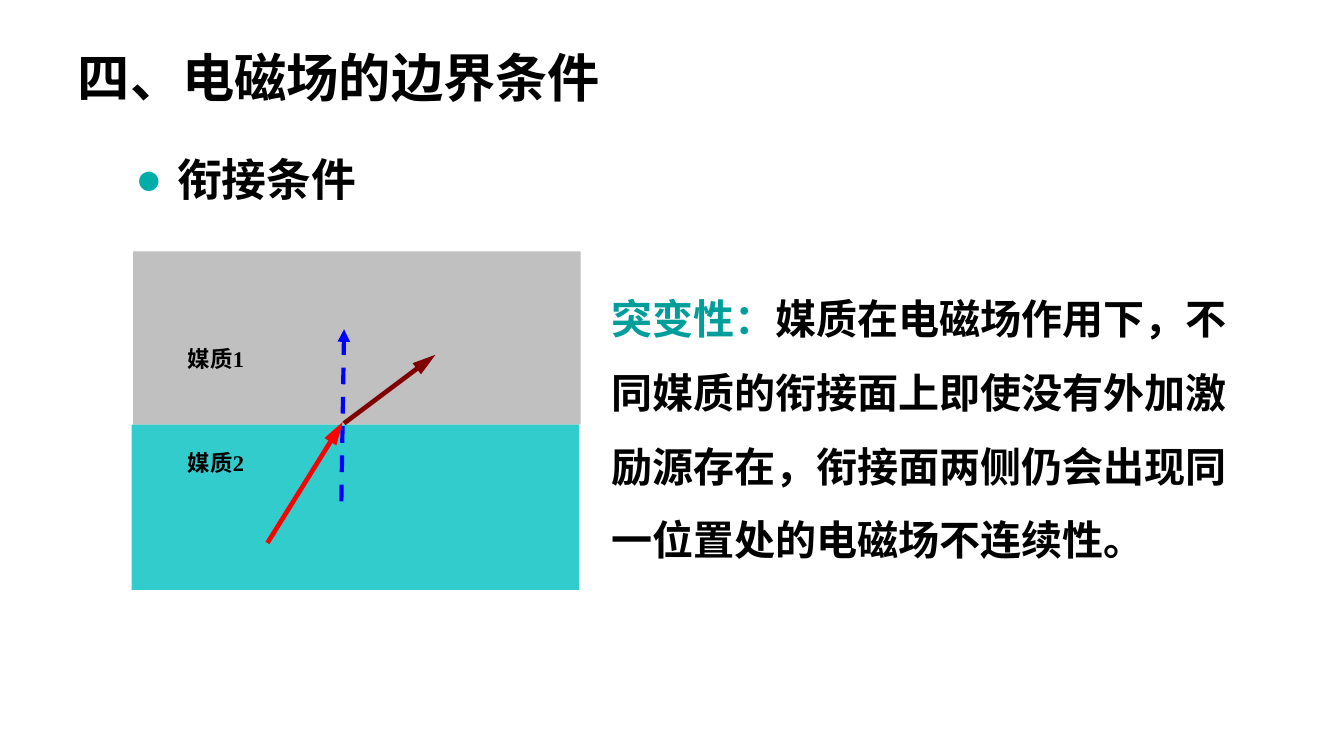
from lxml.etree import SubElement
from pptx import Presentation
from pptx.dml.color import RGBColor
from pptx.enum.dml import MSO_LINE_DASH_STYLE as Dash
from pptx.enum.shapes import MSO_CONNECTOR as Connector, MSO_SHAPE as Shape
from pptx.enum.text import MSO_AUTO_SIZE as AutoSize
from pptx.oxml.ns import qn
from pptx.util import Inches, Pt

BLACK = RGBColor(0x00, 0x00, 0x00)
TEAL = RGBColor(0x00, 0x9E, 0x9A)
BULLET_TEAL = RGBColor(0x00, 0xAD, 0xA9)
GRAY = RGBColor(0xC0, 0xC0, 0xC0)
TURQUOISE = RGBColor(0x33, 0xCC, 0xCC)
BLUE = RGBColor(0x00, 0x00, 0xFF)
RED = RGBColor(0xFF, 0x00, 0x00)
MAROON = RGBColor(0x80, 0x00, 0x00)


def add_text(slide, box, runs, size, font, wrap=True, inset=(0.1, 0.05)):
    """Add one bold paragraph from (text, colour) pairs and return it."""
    frame = slide.shapes.add_textbox(*map(Inches, box)).text_frame
    side, edge = map(Inches, inset)
    frame_format = {
        "word_wrap": wrap, "auto_size": AutoSize.SHAPE_TO_FIT_TEXT,
        "margin_left": side, "margin_right": side,
        "margin_top": edge, "margin_bottom": edge,
    }
    for name, value in frame_format.items():
        setattr(frame, name, value)
    paragraph = frame.paragraphs[0]
    for text, color in runs:
        run = paragraph.add_run()
        run.text = text
        for name, value in {"size": Pt(size), "name": font, "bold": True}.items():
            setattr(run.font, name, value)
        run.font.color.rgb = color
    return paragraph


def add_bullet(paragraph, char, color, indent):
    properties = paragraph._p.get_or_add_pPr()
    properties.set("marL", str(Inches(indent)))
    properties.set("indent", str(-Inches(indent)))
    bullet_color = SubElement(properties, qn("a:buClr"))
    SubElement(bullet_color, qn("a:srgbClr"), val=str(color))
    SubElement(properties, qn("a:buFont"), typeface="Arial")
    SubElement(properties, qn("a:buChar"), char=char)


def add_medium(slide, box, color):
    medium = slide.shapes.add_shape(Shape.RECTANGLE, *map(Inches, box))
    medium.shadow.inherit = False
    medium.fill.solid()
    medium.fill.fore_color.rgb = color
    medium.line.fill.background()


def add_arrow(slide, start, end, color, width, head="lg", dash=None):
    arrow = slide.shapes.add_connector(
        Connector.STRAIGHT, *map(Inches, (*start, *end)))
    arrow.line.color.rgb = color
    arrow.line.width = Pt(width)
    if dash:
        arrow.line.dash_style = dash
    SubElement(arrow.line._get_or_add_ln(), qn("a:tailEnd"),
               type="triangle", w="med", len=head)
    SubElement(arrow._element.spPr, qn("a:effectLst"))


def add_boundary_diagram(slide):
    add_medium(slide, (0.99, 1.87, 3.33, 1.29), GRAY)
    add_medium(slide, (0.98, 3.16, 3.33, 1.23), TURQUOISE)
    add_arrow(slide, (2.54, 3.73), (2.56, 2.45), BLUE, 2.25, "med", Dash.DASH)
    for label, top in (("媒质1", 2.52), ("媒质2", 3.29)):
        add_text(slide, (1.3, top, 0.89, 0.39), [(label, BLACK)],
                 12, "Times New Roman")
    add_arrow(slide, (1.99, 4.04), (2.55, 3.14), RED, 2.5)
    add_arrow(slide, (2.56, 3.15), (3.24, 2.64), MAROON, 2.5)


def main():
    deck = Presentation()
    deck.slide_width = Inches(10)
    deck.slide_height = deck.slide_width * 9 // 16
    slide = deck.slides.add_slide(deck.slide_layouts[6])

    add_text(slide, (0.51, 0.3, 8.82, 0.55), [("四、电磁场的边界条件", BLACK)],
             28, "Arial", inset=(0.07, 0.04))
    heading = add_text(slide, (0.91, 1.08, 1.86, 0.5), [("衔接条件", BLACK)],
                       24, "Calibri", wrap=False)
    add_bullet(heading, "●", BULLET_TEAL, 0.31)
    add_boundary_diagram(slide)
    explanation = add_text(
        slide, (4.45, 1.95, 4.96, 2.26),
        [("突变性：", TEAL),
         ("媒质在电磁场作用下，不同媒质的衔接面上即使没有外加激励源存在，"
          "衔接面两侧仍会出现同一位置处的电磁场不连续性。", BLACK)],
        22, "Calibri")
    explanation.line_spacing = 1.5
    deck.save("out.pptx")


if __name__ == "__main__":
    main()
